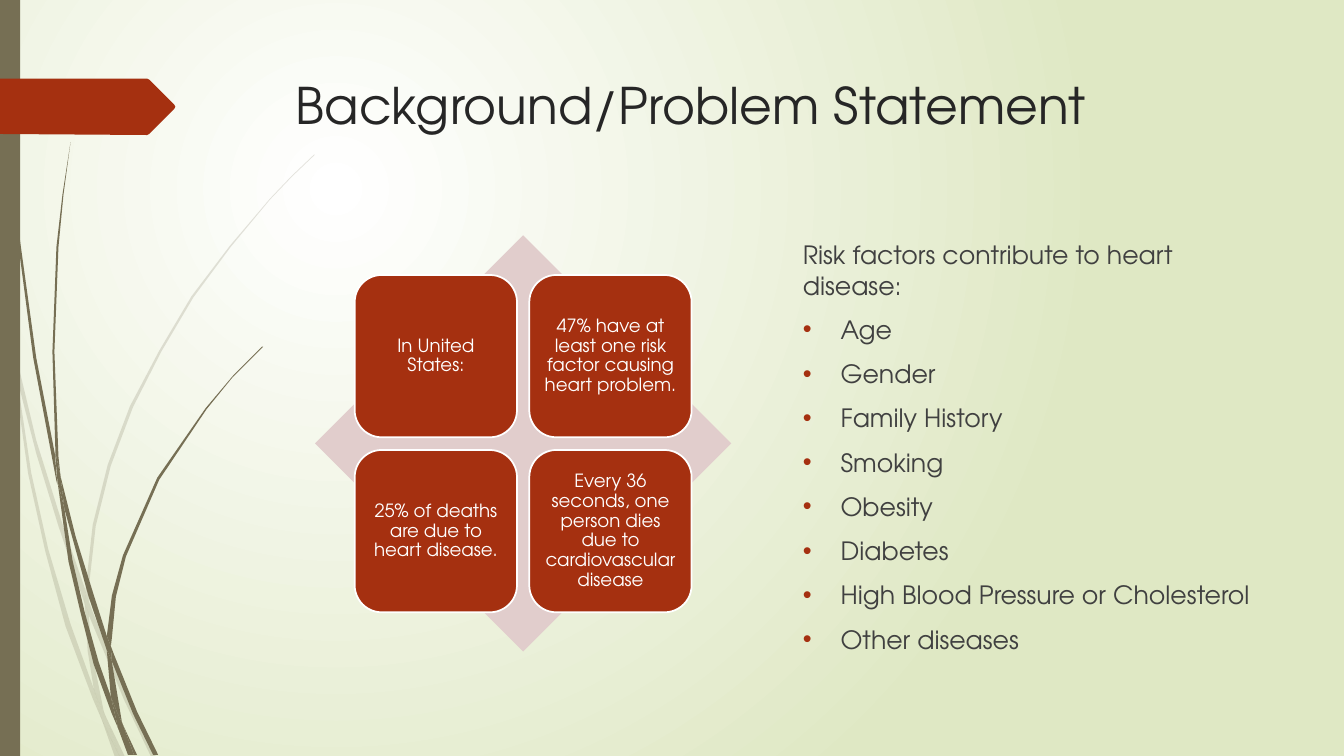
import pptx
import pptx.dml.color
import pptx.enum.shapes
import pptx.enum.text
import pptx.oxml
import pptx.oxml.ns
import pptx.util

Cm = pptx.util.Cm
Pt = pptx.util.Pt
RGBColor = pptx.dml.color.RGBColor
Shape = pptx.enum.shapes.MSO_SHAPE
Align = pptx.enum.text.PP_ALIGN
Anchor = pptx.enum.text.MSO_ANCHOR
qn = pptx.oxml.ns.qn

FONT = "TeX Gyre Adventor"
WHITE = RGBColor(0xFF, 0xFF, 0xFF)
PALE_GREEN = RGBColor(0xDF, 0xE8, 0xC4)
OLIVE = RGBColor(0x76, 0x6F, 0x54)
RUST = RGBColor(0xA5, 0x30, 0x10)
PINK = RGBColor(0xE1, 0xCD, 0xCC)
TITLE_GREY = RGBColor(0x26, 0x26, 0x26)
BODY_GREY = RGBColor(0x40, 0x40, 0x40)

# Outlines are drawn on a grid of one inch
GRID = 2.54
PALE_GRASS = [
    [(0.11, 3.5), (0.09, 3.22), (0, 2.82), (0, 2.99), (0.1, 3.44)],
    [(0.58, 5.22), (0.84, 5.99), (0.85, 5.86), (0.62, 5.2), (0.36, 4.37), (0.14, 3.45),
     (0.17, 3.76), (0.36, 4.5)],
    [(0.92, 6.07), (0.88, 5.96), (0.88, 6.1), (1.23, 6.94), (1.5, 7.51), (1.55, 7.51),
     (1.27, 6.92)],
    [(1.19, 7.51), (1.24, 7.51), (1.05, 7.11)],
    [(0.93, 6.83), (0.7, 6.19), (0.48, 5.45), (0.31, 4.69), (0.17, 3.76), (0.11, 3.5),
     (0.28, 4.7), (0.45, 5.47), (0.65, 6.21), (0.92, 6.93), (1.01, 7.14), (0.99, 7.07)],
    [(0.84, 5.99), (0.87, 6.46), (0.93, 6.83), (0.96, 6.92), (1.05, 7.11), (1.03, 7.06),
     (0.91, 6.46), (0.88, 6.1), (0.88, 6.08)],
    [(0.88, 5.84), (0.95, 5.22), (1.1, 4.62), (1.32, 4.04), (1.6, 3.49), (1.92, 2.95),
     (2.29, 2.45), (2.68, 1.98), (2.9, 1.75), (3.12, 1.54), (3.12, 1.53), (2.89, 1.75),
     (2.68, 1.97), (2.28, 2.44), (1.9, 2.94), (1.58, 3.48), (1.29, 4.03), (1.07, 4.61),
     (0.92, 5.21), (0.85, 5.84), (0.88, 5.96)],
    [(1.01, 7.14), (1.14, 7.51), (1.19, 7.51)],
    [(0.88, 6.08), (0.88, 6.1), (0.88, 5.96), (0.85, 5.86), (0.84, 5.99)],
    [(0.96, 6.92), (0.93, 6.83), (0.99, 7.07), (1.01, 7.14), (1.19, 7.51), (1.05, 7.11)],
]
DARK_GRASS = [
    [(0.07, 1.1), (0.17, 2.33), (0.33, 3.55), (0.56, 4.77), (0.57, 4.81), (0.55, 4.57),
     (0.55, 4.53), (0.36, 3.55), (0.19, 2.32), (0.08, 1.09), (0.04, 0), (0.03, 0)],
    [(0.88, 5.92), (1.06, 6.45), (1.06, 6.31), (0.93, 5.9), (0.75, 5.32), (0.6, 4.72),
     (0.64, 5.05)],
    [(1.13, 6.49), (1.1, 6.41), (1.11, 6.56), (1.32, 7.08), (1.52, 7.49), (1.57, 7.49),
     (1.36, 7.06)],
    [(1.1, 6.91), (0.98, 6.57), (0.84, 6.07), (0.72, 5.56), (0.64, 5.05), (0.57, 4.77),
     (0.68, 5.57), (0.8, 6.08), (0.93, 6.59), (1.11, 7.08), (1.17, 7.22), (1.16, 7.17)],
    [(0.6, 4.72), (0.58, 4.53), (0.54, 3.49), (0.58, 2.45), (0.63, 1.93), (0.7, 1.41),
     (0.62, 1.93), (0.56, 2.45), (0.52, 3.49), (0.55, 4.49)],
    [(1.33, 7.49), (1.36, 7.49), (1.22, 7.19)],
    [(0.57, 4.77), (0.64, 5.05), (0.6, 4.72), (0.55, 4.49), (0.55, 4.53)],
    [(1.11, 6.33), (1.15, 5.92), (1.25, 5.52), (1.58, 4.76), (2.05, 4.06), (2.31, 3.74),
     (2.61, 3.44), (2.6, 3.44), (2.31, 3.73), (2.04, 4.05), (1.56, 4.74), (1.22, 5.51),
     (1.11, 5.91), (1.06, 6.31), (1.1, 6.41)],
    [(1.17, 7.22), (1.27, 7.49), (1.31, 7.49)],
    [(1.06, 6.45), (1.1, 6.91), (1.16, 7.06), (1.22, 7.19), (1.21, 7.16), (1.11, 6.56),
     (1.09, 6.51)],
    [(1.06, 6.45), (1.09, 6.51), (1.11, 6.56), (1.1, 6.41), (1.06, 6.31)],
    [(1.16, 7.06), (1.1, 6.91), (1.16, 7.17), (1.17, 7.22), (1.3, 7.49), (1.33, 7.49),
     (1.22, 7.19)],
]
ARROW_TAB = [(0, 0.78), (1.46, 0.78), (1.48, 0.79), (1.73, 1.04), (1.74, 1.06),
             (1.73, 1.08), (1.48, 1.33), (1.46, 1.34), (0, 1.33)]

FACTS = [
    "In United States:",
    "47% have at least one risk factor causing heart problem.",
    "25% of deaths are due to heart disease.",
    "Every 36 seconds, one person dies due to cardiovascular disease",
]
RISK_HEADING = "Risk factors contribute to heart disease:"
RISK_FACTORS = ["Age", "Gender", "Family History", "Smoking", "Obesity", "Diabetes",
                "High Blood Pressure or Cholesterol", "Other diseases"]


def set_background(slide):
    fill = slide.background.fill
    fill.gradient()
    for stop, color in zip(fill.gradient_stops, (WHITE, PALE_GREEN)):
        stop.color.rgb = color
    gradient = next(slide.element.iter(qn("a:gradFill")))
    gradient.remove(gradient.find(qn("a:lin")))
    circle = pptx.oxml.parse_xml(
        f'<a:path {pptx.oxml.ns.nsdecls("a")} path="circle">'
        '<a:fillToRect l="50000" t="50000" r="100000" b="100000"/></a:path>')
    gradient.find(qn("a:gsLst")).addnext(circle)


def paint(shape, color, opacity=100):
    shape.shadow.inherit = False
    shape.fill.solid()
    shape.fill.fore_color.rgb = color
    shape.line.fill.background()
    if opacity < 100:
        color_element = next(shape.element.spPr.iter(qn("a:srgbClr")))
        alpha = color_element.makeelement(qn("a:alpha"), {"val": str(opacity * 1000)})
        color_element.append(alpha)


def add_shape(slide, kind, left, top, width, height, color):
    shape = slide.shapes.add_shape(kind, Cm(left), Cm(top), Cm(width), Cm(height))
    paint(shape, color)
    return shape


def add_outline(slide, outline, color, opacity=100):
    points = [(Cm(x * GRID), Cm(y * GRID)) for x, y in outline]
    builder = slide.shapes.build_freeform(*points[0])
    builder.add_line_segments(points[1:], close=True)
    paint(builder.convert_to_shape(), color, opacity)


def add_run(paragraph, text, size, color):
    run = paragraph.add_run()
    run.text = text
    run.font.name = FONT
    run.font.size = Pt(size)
    run.font.color.rgb = color


def place(placeholder, left, top, width, height):
    placeholder.left, placeholder.top = Cm(left), Cm(top)
    placeholder.width, placeholder.height = Cm(width), Cm(height)
    frame = placeholder.text_frame
    frame.word_wrap = True
    frame.auto_size = pptx.enum.text.MSO_AUTO_SIZE.NONE
    frame.vertical_anchor = Anchor.TOP
    return frame


def set_bullet(paragraph, indent, bulleted):
    properties = paragraph._p.get_or_add_pPr()
    properties.set("marL", str(indent))
    properties.set("indent", str(-indent))
    if bulleted:
        color = properties.makeelement(qn("a:buClr"), {})
        color.append(color.makeelement(qn("a:srgbClr"), {"val": str(RUST)}))
        properties.append(color)
        properties.append(properties.makeelement(qn("a:buChar"), {"char": "•"}))
    else:
        properties.append(properties.makeelement(qn("a:buNone"), {}))


def fill_title(slide):
    paragraph = place(slide.shapes.title, 7.2, 1.73, 24.77, 3.56).paragraphs[0]
    paragraph.alignment = Align.LEFT
    add_run(paragraph, "Background/Problem Statement", 36, TITLE_GREY)


def fill_risk_list(slide):
    frame = place(slide.placeholders[1], 19.98, 5.91, 11.99, 10.49)
    for index, text in enumerate([RISK_HEADING, *RISK_FACTORS]):
        paragraph = frame.add_paragraph() if index else frame.paragraphs[0]
        paragraph.space_before = Pt(10)
        set_bullet(paragraph, Cm(0.95) if index else 0, index > 0)
        add_run(paragraph, text, 18, BODY_GREY)


def add_fact_tile(slide, left, top, size, text):
    tile = add_shape(slide, Shape.ROUNDED_RECTANGLE, left, top, size, size, RUST)
    tile.line.color.rgb = WHITE
    tile.line.width = Pt(1.25)
    frame = tile.text_frame
    frame.word_wrap = True
    frame.vertical_anchor = Anchor.MIDDLE
    frame.margin_left = frame.margin_right = Cm(0.13)
    frame.margin_top = frame.margin_bottom = Cm(0.13)
    paragraph = frame.paragraphs[0]
    paragraph.alignment = Align.CENTER
    paragraph.line_spacing = 0.9
    add_run(paragraph, text, 13, WHITE)


def main():
    presentation = pptx.Presentation()
    presentation.slide_width, presentation.slide_height = Cm(33.87), Cm(19.05)
    slide = presentation.slides.add_slide(presentation.slide_layouts[1])
    set_background(slide)

    # Grass, side bar and arrow tab
    for grass, opacity in ((PALE_GRASS, 20), (DARK_GRASS, 100)):
        for outline in grass:
            add_outline(slide, outline, OLIVE, opacity)
    add_shape(slide, Shape.RECTANGLE, 0, 0, 0.51, 19.05, OLIVE)
    add_outline(slide, ARROW_TAB, RUST)

    # Title and risk list
    fill_title(slide)
    fill_risk_list(slide)

    # Two by two matrix of facts on a diamond
    add_shape(slide, Shape.DIAMOND, 7.94, 5.93, 10.49, 10.49, PINK)
    for index, text in enumerate(FACTS):
        row, column = divmod(index, 2)
        add_fact_tile(slide, 8.94 + 4.4 * column, 6.93 + 4.41 * row, 4.09, text)

    presentation.save("out.pptx")


if __name__ == "__main__":
    main()
